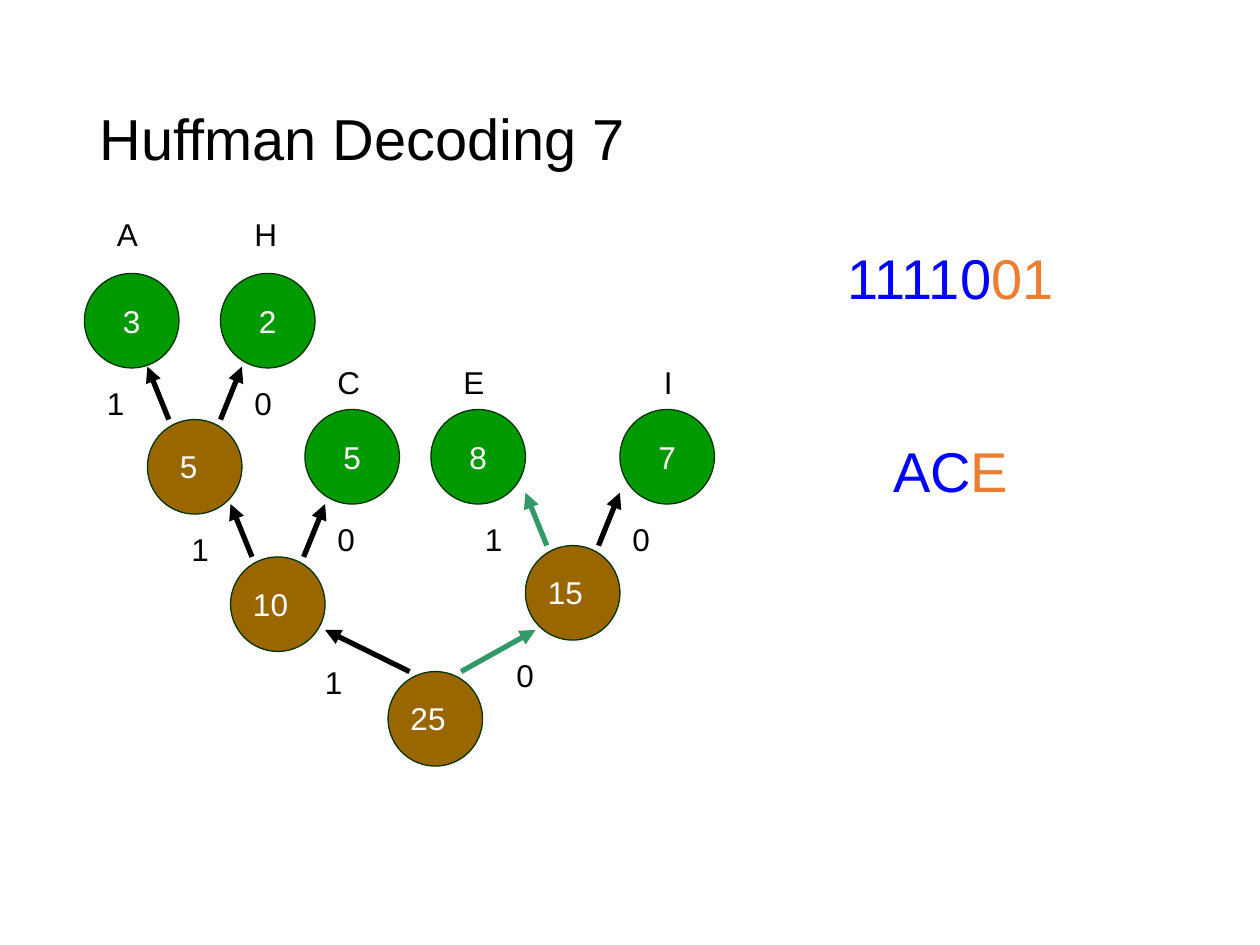
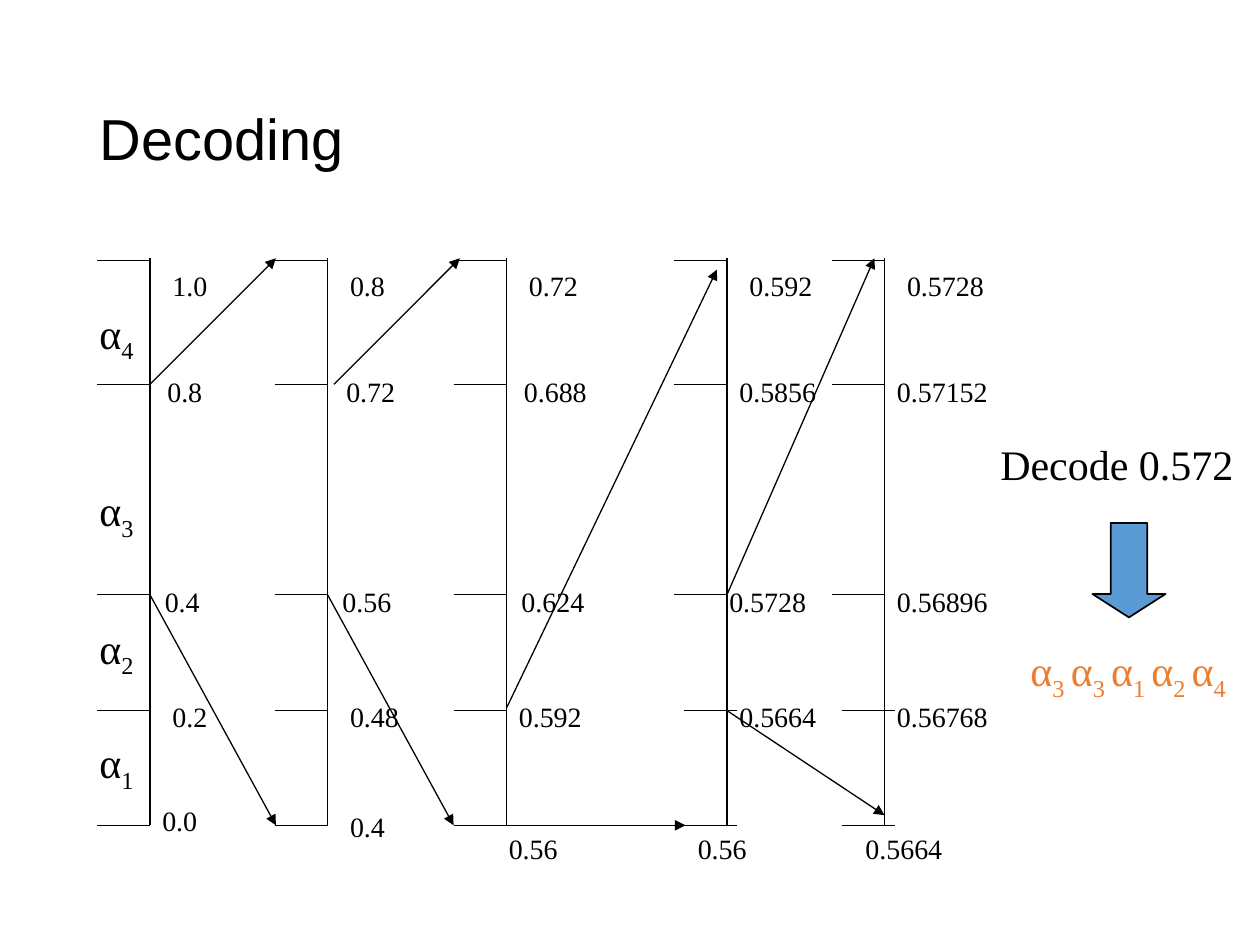
from pptx import Presentation
from pptx.dml.color import RGBColor
from pptx.enum.shapes import MSO_CONNECTOR as CONN, MSO_SHAPE as SHAPE
from pptx.enum.text import MSO_ANCHOR as ANCHOR, PP_ALIGN as ALIGN
from pptx.oxml.ns import qn
from pptx.util import Inches, Pt
from lxml.etree import SubElement

COLORS = {
    "black": "000000", "white": "FFFFFF", "leaf": "009900", "inner": "996600",
    "outline": "003300", "active": "339966", "done": "0000FF",
    "current": "ED7D31", "arrow": "5B9BD5",
}
SANS, SERIF = "Arial", "Times New Roman"
NODE = 0.75


def rgb(name):
    """Look up a palette colour."""
    return RGBColor.from_string(COLORS[name])


def add_run(p, text, size, font=SANS, color="black", sub=False):
    """Append one styled run to a paragraph."""
    r = p.add_run()
    r.text = text
    r.font.size, r.font.name = Pt(size), font
    r.font.color.rgb = rgb(color)
    if sub:
        r._r.get_or_add_rPr().set("baseline", "-25000")


def add_box(s, x, y, w, h):
    """Add an empty wrapping text box and return its text frame."""
    tf = s.shapes.add_textbox(Inches(x), Inches(y), Inches(w), Inches(h)).text_frame
    tf.word_wrap = True
    return tf


def add_label(s, text, x, y, w, h=0.5, size=18, font=SANS, color="black"):
    """Add a one-line label."""
    add_run(add_box(s, x, y, w, h).paragraphs[0], text, size, font, color)


def add_alphas(s, indices, x, y, w, color="black"):
    """Write a sequence of subscripted alpha symbols."""
    p = add_box(s, x, y, w, 0.5).paragraphs[0]
    for i, index in enumerate(indices, 1):
        add_run(p, "α", 24, SERIF, color)
        add_run(p, index + (" " if i < len(indices) else ""), 24, SERIF, color, sub=True)


def add_line(s, x1, y1, x2, y2, color="black", width=0.75, arrow=False):
    """Draw a straight line, with an arrowhead at its end if asked."""
    c = s.shapes.add_connector(CONN.STRAIGHT, *map(Inches, (x1, y1, x2, y2)))
    c.line.color.rgb, c.line.width = rgb(color), Pt(width)
    if arrow:
        SubElement(c.line._get_or_add_ln(), qn("a:tailEnd"), type="triangle")
    SubElement(c._element.spPr, qn("a:effectLst"))


def add_shape(s, kind, x, y, w, h, fill, line, width):
    """Add a filled and outlined preset shape."""
    sp = s.shapes.add_shape(kind, Inches(x), Inches(y), Inches(w), Inches(h))
    sp.shadow.inherit = False
    sp.fill.solid()
    sp.fill.fore_color.rgb = rgb(fill)
    sp.line.color.rgb, sp.line.width = rgb(line), Pt(width)
    return sp


def add_title_slide(prs, title):
    """Add a blank slide carrying the shared title style."""
    s = prs.slides.add_slide(prs.slide_layouts[6])
    tf = add_box(s, 0.69, 0.4, 8.62, 1.45)
    tf.vertical_anchor = ANCHOR.MIDDLE
    p = tf.paragraphs[0]
    p.line_spacing = 0.9
    add_run(p, title, 33)
    return s


def add_leaf(s, symbol, count, x, y, label_dx, label_dy):
    """Draw a leaf node with its symbol above it."""
    sp = add_shape(s, SHAPE.OVAL, x, y, NODE, NODE, "leaf", "outline", 0.75)
    tf = sp.text_frame
    tf.vertical_anchor = ANCHOR.MIDDLE
    p = tf.paragraphs[0]
    p.alignment = ALIGN.CENTER
    add_run(p, count, 18, color="white")
    add_label(s, symbol, x + label_dx, y + label_dy, 0.29 if symbol == "I" else 0.44)


def add_inner(s, count, x, y, branches):
    """Draw an inner node and its two labelled branches."""
    add_shape(s, SHAPE.OVAL, x, y, NODE, NODE, "inner", "outline", 0.75)
    dx, w = (0.16, 0.39) if len(count) == 1 else (0.08, 0.57)
    add_label(s, count, x + dx, y + 0.17, w, color="white")
    for bit, start, (tip_x, tip_y), (bit_x, bit_y), color in zip("10", (0.17, 0.58), *branches):
        add_line(s, x + start, y, x + tip_x, y + tip_y, color, 3, arrow=True)
        add_label(s, bit, x + bit_x, y + bit_y, 0.39)


def add_tree(s, left, top):
    """Draw the Huffman tree from its top left corner."""
    leaves = [("A", "3", 0, 0.51, 0.16, -0.51), ("H", "2", 1.08, 0.51, 0.17, -0.51),
              ("C", "5", 1.75, 1.59, 0.16, -0.42), ("E", "8", 2.75, 1.59, 0.16, -0.42),
              ("I", "7", 4.25, 1.59, 0.25, -0.42)]
    for symbol, count, x, y, dx, dy in leaves:
        add_leaf(s, symbol, count, left + x, top + y, dx, dy)
    tips = [(0, -0.42), (0.75, -0.42)]
    root_tips = [(-0.5, -0.33), (1.17, -0.33)]
    inner = [
        ("5", 0.5, 1.67, tips, [(-0.42, -0.33), (0.75, -0.33)], ("black", "black")),
        ("10", 1.16, 2.76, tips, [(-0.41, -0.26), (0.75, -0.34)], ("black", "black")),
        ("15", 3.5, 2.67, tips, [(-0.42, -0.25), (0.75, -0.25)], ("active", "black")),
        ("25", 2.41, 3.67, root_tips, [(-0.6, -0.12), (0.92, -0.17)], ("black", "active")),
    ]
    for count, x, y, *branches in inner:
        add_inner(s, count, left + x, top + y, branches)


def add_progress(s, left, top):
    """Show the bits read and the symbols decoded so far."""
    tf = add_box(s, left, top, 3.75, 2.23)
    for i, (done, current) in enumerate([("11110", "01"), ("AC", "E")]):
        p = tf.add_paragraph() if i else tf.paragraphs[0]
        p.alignment = ALIGN.CENTER
        if i:
            p.space_before = Pt(72)
        add_run(p, done, 32, color="done")
        add_run(p, current, 32, color="current")


def add_scale(s, axis, top, values, offsets, label_w, end_y, low_shift):
    """Draw one interval axis with its ticks and bounds."""
    add_line(s, axis, top, axis, top + 4.5)
    ticks = (0.02, 1, 2.67, 3.59, 4.5)
    label_ys = (0.03, 0.87, 2.54, 3.45, end_y)
    for i, (value, dx, tick, label_y) in enumerate(zip(values, offsets, ticks, label_ys)):
        end = axis + (low_shift if i > 2 else 0)
        add_line(s, end - 0.42, top + tick, end, top + tick)
        add_label(s, value, axis + dx, top + label_y, label_w, 0.37, 16, SERIF)


def add_intervals(s, left, top):
    """Draw the successive intervals and the zoom arrows between them."""
    scales = [
        (0.5, "1.0 0.8 0.4 0.2 0.0", (0.08, 0.04, 0.02, 0.08, 0), 0.67, 4.28, 0),
        (1.91, "0.8 0.72 0.56 0.48 0.4", (0.08, 0.05, 0.02, 0.08, 0.08), 0.67, 4.33, 0),
        (3.33, "0.72 0.688 0.624 0.592 0.56", (0.08, 0.04, 0.02, 0, -0.08), 0.96, 4.5, 0),
        (5.08, "0.592 0.5856 0.5728 0.5664 0.56", (0.08, 0, -0.08, 0, -0.33), 1, 4.5, 0.08),
        (6.33, "0.5728 0.57152 0.56896 0.56768 0.5664", (0.08, 0, 0, 0, -0.25), 1.08, 4.5, 0.08),
    ]
    for x, values, *style in scales:
        add_scale(s, left + x, top, values.split(), *style)
    zooms = [(0.5, 1, 1.5, 0), (0.5, 2.67, 1.5, 4.5), (1.96, 1, 2.96, 0),
             (1.91, 2.67, 2.91, 4.5), (3.33, 3.57, 5, 0.09), (3.25, 4.5, 4.75, 4.5),
             (5.08, 2.67, 6.25, 0), (5.08, 3.59, 6.33, 4.42)]
    for x1, y1, x2, y2 in zooms:
        add_line(s, left + x1, top + y1, left + x2, top + y2, arrow=True)
    for index, y in zip("4321", (0.34, 1.75, 2.84, 3.75)):
        add_alphas(s, index, left, top + y, 0.49)


def add_result(s, left, top):
    """Show the number to decode, an arrow and the decoded symbols."""
    add_label(s, "Decode 0.572", left, top, 2.12, size=24, font=SERIF)
    sp = add_shape(s, SHAPE.DOWN_ARROW, left + 0.83, top + 0.72, 0.58, 0.75, "arrow", "black", 1)
    sp.adjustments[1] = 0.32
    add_alphas(s, "33124", left + 0.24, top + 1.64, 1.98, "current")


def main():
    """Build and save both slides."""
    prs = Presentation()
    prs.slide_width, prs.slide_height = Inches(10), Inches(7.5)
    s = add_title_slide(prs, "Huffman Decoding 7")
    add_tree(s, 0.67, 1.66)
    add_progress(s, 5.67, 1.88)
    s = add_title_slide(prs, "Decoding")
    add_intervals(s, 0.69, 2.05)
    add_result(s, 7.84, 3.43)
    prs.save("out.pptx")


if __name__ == "__main__":
    main()
